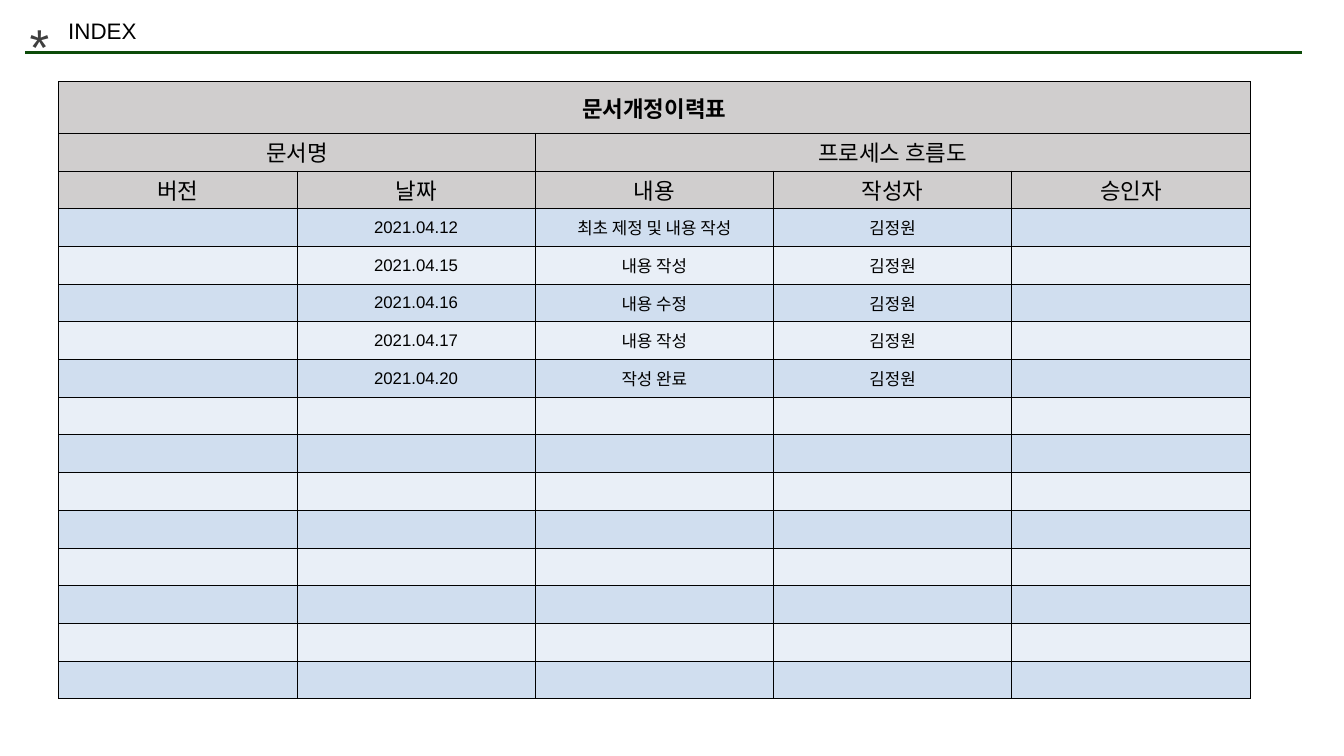
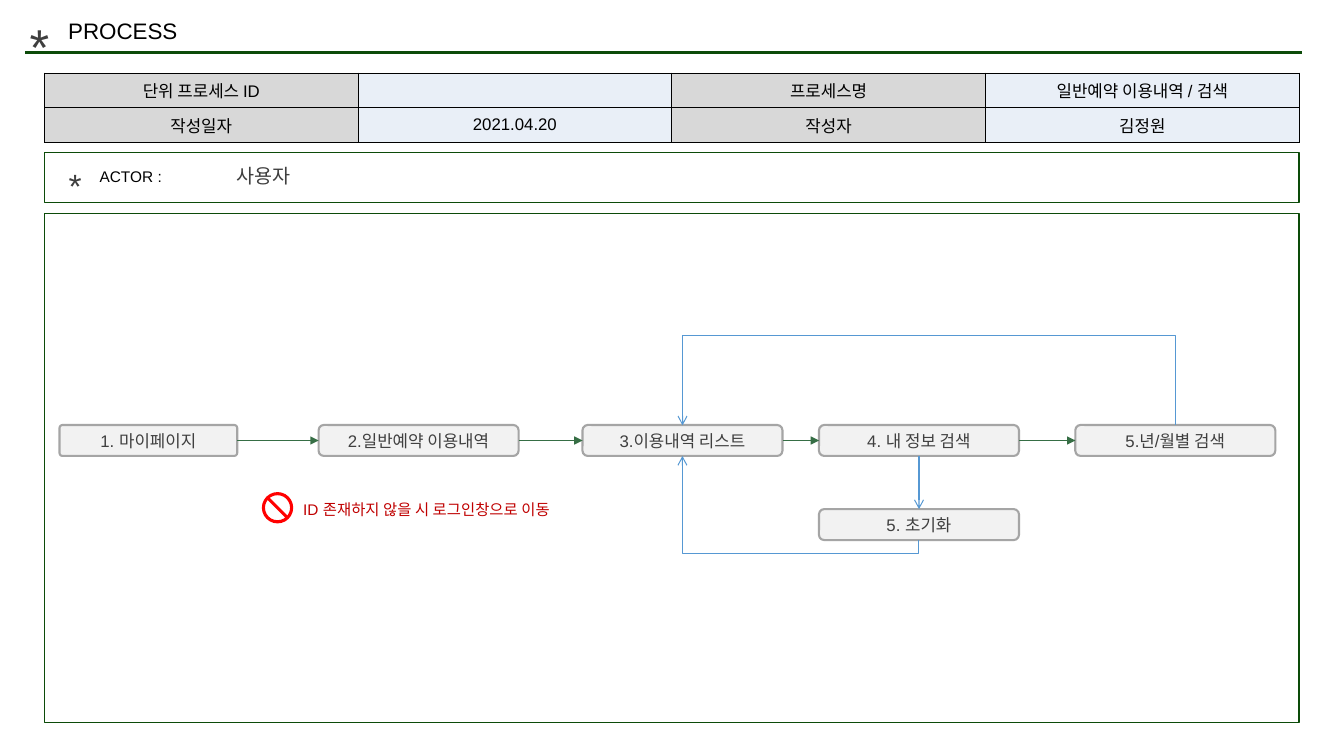
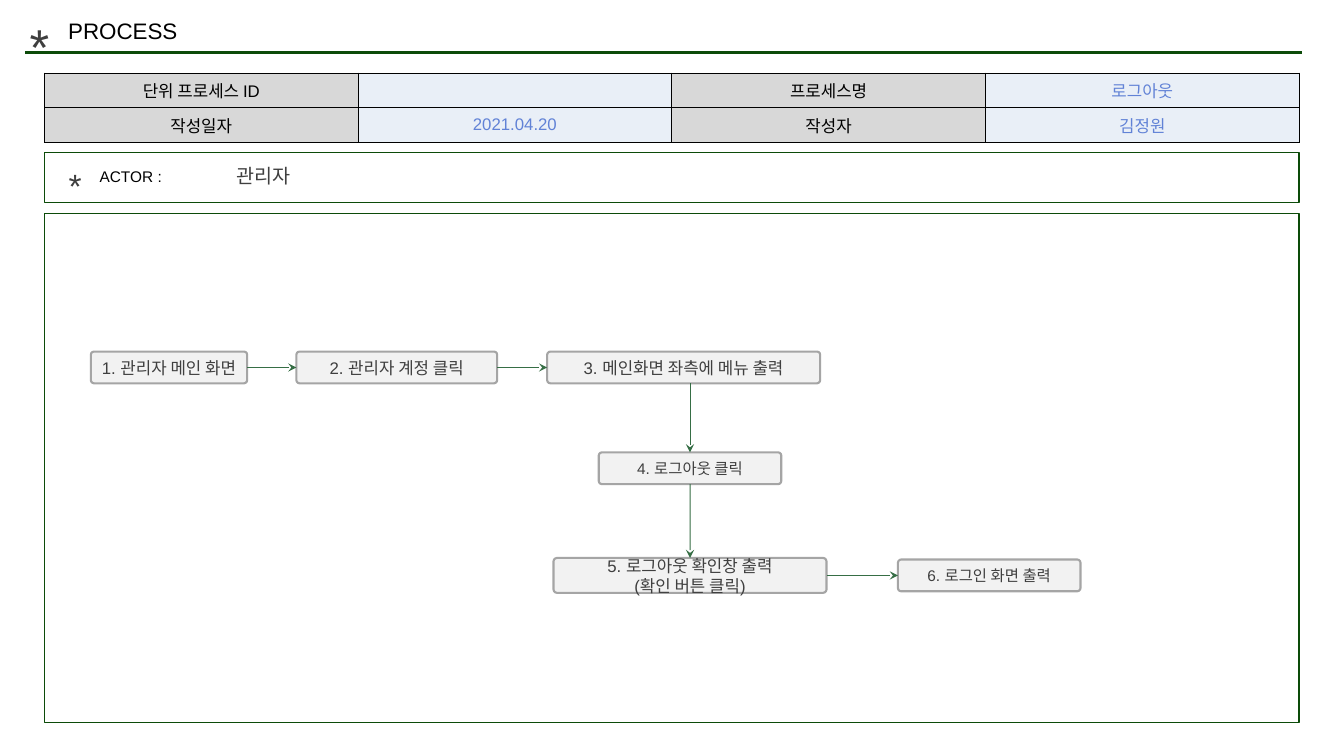
from dataclasses import dataclass
from typing import NamedTuple

from lxml.etree import SubElement
from pptx import Presentation
from pptx.dml.color import RGBColor
from pptx.enum.shapes import MSO_CONNECTOR, MSO_SHAPE
from pptx.enum.text import MSO_ANCHOR, PP_ALIGN
from pptx.oxml.ns import qn
from pptx.util import Cm, Pt


@dataclass(frozen=True)
class Theme:
    font: str = "Arial"
    # Colours
    black: str = "000000"
    ink: str = "3F3F3F"
    rule: str = "0C4B09"
    heading_fill: str = "D0CECE"
    label_fill: str = "D8D8D8"
    band_dark: str = "D0DEEF"
    band_light: str = "E9EFF7"
    draft_value: str = "6182D6"
    step_fill: str = "F2F2F2"
    step_line: str = "A5A5A5"
    flow: str = "366E45"
    side_flow: str = "5698D3"
    ban: str = "FF0000"
    warning: str = "C00000"
    # Type sizes in points
    star: int = 36
    small_star: int = 24
    title: int = 16
    actor: int = 14
    body: int = 12
    small: int = 11


class Box(NamedTuple):
    """Left, top, width and height in centimetres."""
    left: float
    top: float
    width: float
    height: float

    def inner(self, left, top, width, height):
        return Box(self.left + left, self.top + top, width, height)

    def lengths(self):
        return [Cm(value) for value in self]


THEME = Theme()
HEADER = Box(0.5, 0.25, 32.5, 1.8)
HISTORY = Box(1.48, 2.06, 30.02, 15.55)
SUMMARY = Box(1.12, 1.84, 31.62, 1.74)
ACTOR = Box(1.12, 3.84, 31.62, 1.27)
FLOW = Box(1.12, 5.38, 31.62, 12.83)
TOP, LEFT, BOTTOM, RIGHT = range(4)


# Basic parts

def write(text_frame, text, size, color, align=PP_ALIGN.LEFT, bold=False):
    text_frame.text = text
    for paragraph in text_frame.paragraphs:
        paragraph.alignment = align
        paragraph.font.name = THEME.font
        paragraph.font.size = Pt(size)
        paragraph.font.bold = bold
        paragraph.font.color.rgb = RGBColor.from_string(color)


def add_label(slide, box, text, size, color):
    text_frame = slide.shapes.add_textbox(*box.lengths()).text_frame
    text_frame.word_wrap = True
    write(text_frame, text, size, color)


def add_figure(slide, kind, box, fill=None, line=None, line_width=1):
    shape = slide.shapes.add_shape(kind, *box.lengths())
    shape.shadow.inherit = False
    if fill:
        shape.fill.solid()
        shape.fill.fore_color.rgb = RGBColor.from_string(fill)
    else:
        shape.fill.background()
    if line:
        shape.line.color.rgb = RGBColor.from_string(line)
        shape.line.width = Pt(line_width)
    else:
        shape.line.fill.background()
    return shape


def add_line(slide, points, color, width=0.75, head=None, kind=MSO_CONNECTOR.STRAIGHT):
    connector = slide.shapes.add_connector(kind, *points)
    connector.line.color.rgb = RGBColor.from_string(color)
    connector.line.width = Pt(width)
    if head:
        SubElement(connector.line._get_or_add_ln(), qn("a:tailEnd"), type=head)
    SubElement(connector._element.spPr, qn("a:effectLst"))
    return connector


def side_point(shape, side):
    across = {LEFT: 0, RIGHT: shape.width}.get(side, shape.width // 2)
    down = {TOP: 0, BOTTOM: shape.height}.get(side, shape.height // 2)
    return shape.left + across, shape.top + down


def join(slide, start, start_side, end, end_side, color, head):
    points = side_point(start, start_side) + side_point(end, end_side)
    connector = add_line(slide, points, color, head=head)
    connector.begin_connect(start, start_side)
    connector.end_connect(end, end_side)


def join_around(slide, start, end, side, turn, color, head):
    """Elbow that leaves and enters on the same side, crossing at height turn."""
    start_x, start_y = side_point(start, side)
    end_x, end_y = side_point(end, side)
    rise = (end_y - start_y) or Cm(0.01)
    length, breadth = abs(rise), abs(end_x - start_x)
    left = (start_x + end_x - length) // 2
    top = (start_y + start_y + rise - breadth) // 2
    connector = add_line(slide, (left, top, left + length, top + breadth), color,
                         head=head, kind=MSO_CONNECTOR.ELBOW)
    properties = connector._element.spPr
    frame = properties.find(qn("a:xfrm"))
    frame.set("rot", str(90 * 60000))
    if rise < 0:
        frame.set("flipH", "1")
    adjustments = properties.find(qn("a:prstGeom")).get_or_add_avLst()
    bend = round((turn - start_y) / rise * 100000)
    SubElement(adjustments, qn("a:gd"), name="adj1", fmla=f"val {bend}")


def style_cell(cell, text, fill, size, color, bold=False):
    cell.vertical_anchor = MSO_ANCHOR.MIDDLE
    cell.margin_top = cell.margin_bottom = Cm(0.05)
    write(cell.text_frame, text, size, color, PP_ALIGN.CENTER, bold)
    properties = cell._tc.get_or_add_tcPr()
    for edge in ("a:lnL", "a:lnR", "a:lnT", "a:lnB"):
        border = SubElement(properties, qn(edge), w=str(Pt(0.75)))
        SubElement(SubElement(border, qn("a:solidFill")), qn("a:srgbClr"), val=THEME.black)
    cell.fill.solid()
    cell.fill.fore_color.rgb = RGBColor.from_string(fill)


def add_grid(slide, box, heights, column_count):
    table = slide.shapes.add_table(len(heights), column_count, *box.lengths()).table
    table.first_row = table.horz_banding = False
    for row, height in zip(table.rows, heights):
        row.height = Cm(height)
    for column in table.columns:
        column.width = Cm(box.width / column_count)
    return table


# Regions

def add_header(slide, box, title):
    middle = box.top + 1.07
    rule = [Cm(value) for value in (box.left + 0.14, middle, box.left + 32.32, middle)]
    add_line(slide, rule, THEME.rule, 2.25)
    add_label(slide, box.inner(0, 0, 1.32, 1.8), "*", THEME.star, THEME.ink)
    add_label(slide, box.inner(0.97, 0.05, 10.97, 0.94), title, THEME.title, THEME.black)


def add_history(slide, box, revisions):
    headings = [
        ["문서개정이력표", "", "", "", ""],
        ["문서명", "", "프로세스 흐름도", "", ""],
        ["버전", "날짜", "내용", "작성자", "승인자"],
    ]
    body = [["", *revision, ""] for revision in revisions]
    blanks = [[""] * 5 for _ in range(13 - len(body))]
    rows = headings + body + blanks
    table = add_grid(slide, box, [1.3] + [0.95] * 15, 5)
    for row_index, row in enumerate(rows):
        band = THEME.band_dark if row_index % 2 else THEME.band_light
        is_heading = row_index < len(headings)
        fill = THEME.heading_fill if is_heading else band
        size = THEME.title if is_heading else THEME.body
        for column_index, text in enumerate(row):
            style_cell(table.cell(row_index, column_index), text, fill, size,
                       THEME.black, bold=row_index == 0)
    for row_index, first, last in [(0, 0, 4), (1, 0, 1), (1, 2, 4)]:
        table.cell(row_index, first).merge(table.cell(row_index, last))


def add_summary(slide, box, process, value_color):
    rows = [
        ["단위 프로세스 ID", "", "프로세스명", process],
        ["작성일자", "2021.04.20", "작성자", "김정원"],
    ]
    table = add_grid(slide, box, [box.height / 2] * 2, 4)
    looks = [(THEME.label_fill, THEME.black), (THEME.band_light, value_color)]
    for row_index, row in enumerate(rows):
        for column_index, text in enumerate(row):
            fill, color = looks[column_index % 2]
            style_cell(table.cell(row_index, column_index), text, fill, THEME.body, color)


def add_actor(slide, box, actor):
    add_label(slide, box.inner(0.36, 0.2, 1.32, 1.27), "*", THEME.small_star, THEME.ink)
    add_label(slide, box.inner(1.14, 0.25, 3.38, 0.74), "ACTOR :", THEME.small, THEME.black)
    add_figure(slide, MSO_SHAPE.RECTANGLE, box, line=THEME.rule)
    add_label(slide, box.inner(4.6, 0.17, 10.97, 0.86), actor, THEME.actor, THEME.ink)


def add_step(slide, box, text, size=THEME.body, rounding=0.1):
    shape = add_figure(slide, MSO_SHAPE.ROUNDED_RECTANGLE, box,
                       THEME.step_fill, THEME.step_line, 1.5)
    shape.adjustments[0] = rounding
    text_frame = shape.text_frame
    text_frame.word_wrap = True
    text_frame.vertical_anchor = MSO_ANCHOR.MIDDLE
    text_frame.margin_left = text_frame.margin_right = Cm(0.1)
    text_frame.margin_top = text_frame.margin_bottom = Cm(0.1)
    write(text_frame, text, size, THEME.ink, PP_ALIGN.CENTER)
    return shape


def add_search_flow(slide, box):
    add_figure(slide, MSO_SHAPE.RECTANGLE, box, line=THEME.rule)
    # Main row and the reset step below it
    first = add_step(slide, box.inner(0.38, 5.33, 4.48, 0.78), "1. 마이페이지")
    places = [
        (6.91, 5.33, "2.일반예약 이용내역"),
        (13.56, 5.33, "3.이용내역 리스트"),
        (19.52, 5.33, "4. 내 정보 검색"),
        (25.98, 5.33, "5.년/월별 검색"),
        (19.52, 7.45, "5. 초기화"),
    ]
    usage, listing, search, period, reset = [
        add_step(slide, box.inner(left, top, 5.04, 0.78), text, rounding=0.17)
        for left, top, text in places
    ]
    main_row = [first, usage, listing, search, period]
    for start, end in zip(main_row, main_row[1:]):
        join(slide, start, RIGHT, end, LEFT, THEME.flow, "triangle")
    # Ways back to the list
    join(slide, search, BOTTOM, reset, TOP, THEME.side_flow, "arrow")
    for start, side, turn in [(period, TOP, 3.08), (reset, BOTTOM, 8.56)]:
        join_around(slide, start, listing, side, Cm(box.top + turn), THEME.side_flow, "arrow")
    # Warning
    sign = add_figure(slide, MSO_SHAPE.NO_SYMBOL, box.inner(5.48, 7.02, 0.79, 0.79), THEME.ban)
    sign.adjustments[0] = 0.1
    add_label(slide, box.inner(6.27, 7.09, 7.49, 0.74),
              "ID 존재하지 않을 시 로그인창으로 이동", THEME.small, THEME.warning)


def add_logout_flow(slide, box):
    add_figure(slide, MSO_SHAPE.RECTANGLE, box, line=THEME.rule)
    places = [
        (1.17, 3.48, 3.94, 0.8, "1. 관리자 메인 화면", THEME.body),
        (6.35, 3.48, 5.06, 0.8, "2. 관리자 계정 클릭", THEME.body),
        (12.67, 3.48, 6.88, 0.8, "3. 메인화면 좌측에 메뉴 출력", THEME.body),
        (13.97, 6.02, 4.6, 0.8, "4. 로그아웃 클릭", THEME.small),
        (12.83, 8.68, 6.88, 0.88, "5. 로그아웃 확인창 출력\n(확인 버튼 클릭)", THEME.body),
        (21.51, 8.72, 4.6, 0.8, "6. 로그인 화면 출력", THEME.small),
    ]
    main, account, menu, logout, confirm, login = [
        add_step(slide, box.inner(*place), text, size) for *place, text, size in places
    ]
    for start, start_side, end, end_side in [
        (main, RIGHT, account, LEFT),
        (account, RIGHT, menu, LEFT),
        (logout, BOTTOM, confirm, TOP),
        (confirm, RIGHT, login, LEFT),
    ]:
        join(slide, start, start_side, end, end_side, THEME.flow, "stealth")
    # The menu box is not centred over the logout box
    end_x, end_y = side_point(logout, TOP)
    drop = add_line(slide, (end_x, menu.top + menu.height, end_x, end_y),
                    THEME.flow, head="stealth")
    drop.end_connect(logout, TOP)


# Slides

def add_slide(presentation, title):
    slide = presentation.slides.add_slide(presentation.slide_layouts[6])
    add_header(slide, HEADER, title)
    return slide


def add_process_slide(presentation, process, value_color, actor, add_flow):
    slide = add_slide(presentation, "PROCESS")
    add_summary(slide, SUMMARY, process, value_color)
    add_actor(slide, ACTOR, actor)
    add_flow(slide, FLOW)


def main():
    presentation = Presentation()
    presentation.slide_width, presentation.slide_height = Cm(33.87), Cm(19.05)
    add_history(add_slide(presentation, "INDEX"), HISTORY, [
        ("2021.04.12", "최초 제정 및 내용 작성", "김정원"),
        ("2021.04.15", "내용 작성", "김정원"),
        ("2021.04.16", "내용 수정", "김정원"),
        ("2021.04.17", "내용 작성", "김정원"),
        ("2021.04.20", "작성 완료", "김정원"),
    ])
    add_process_slide(presentation, "일반예약 이용내역 / 검색", THEME.black,
                      "사용자", add_search_flow)
    add_process_slide(presentation, "로그아웃", THEME.draft_value,
                      "관리자", add_logout_flow)
    presentation.save("out.pptx")


if __name__ == "__main__":
    main()
